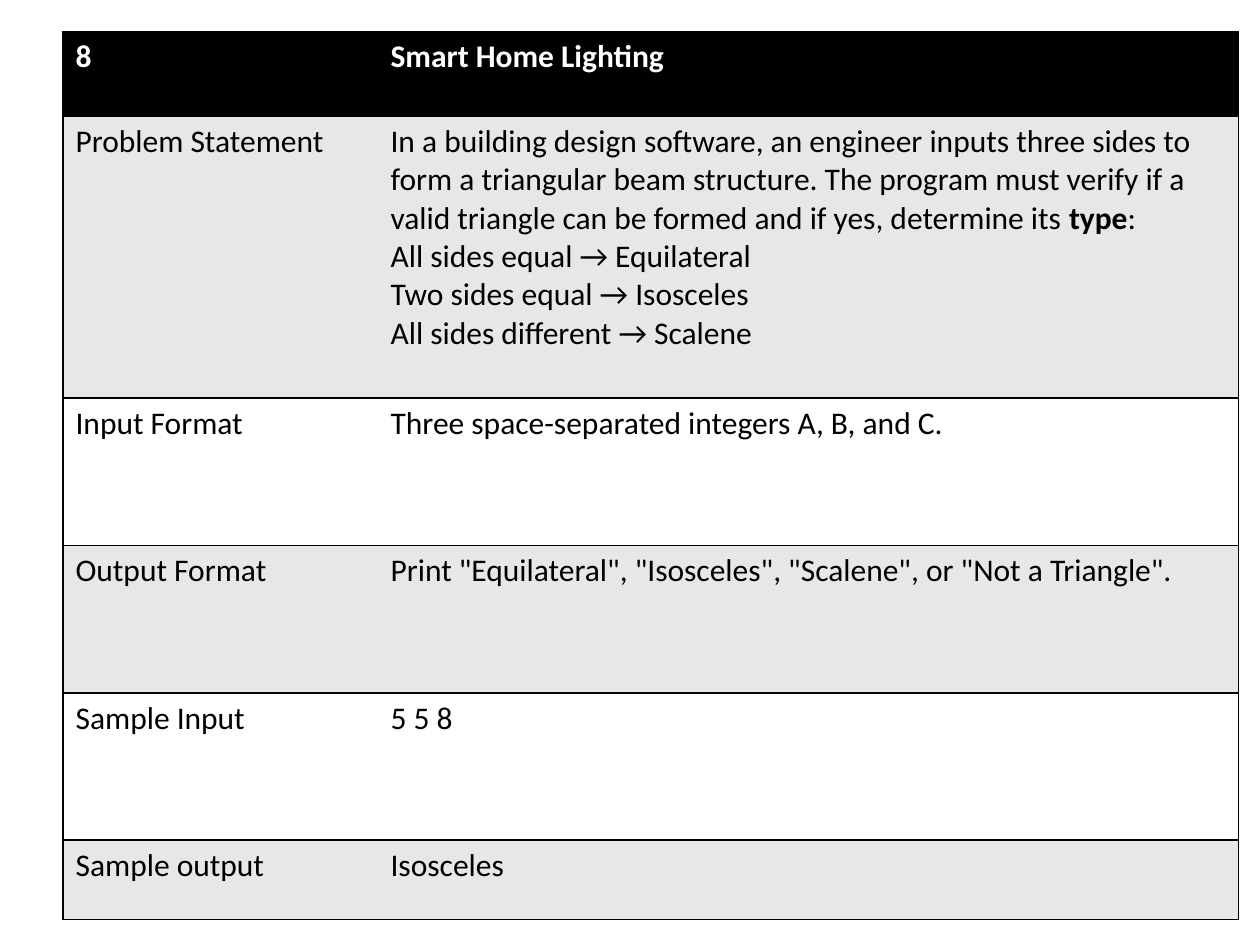
from lxml.etree import SubElement
from pptx import Presentation
from pptx.dml.color import RGBColor
from pptx.oxml.ns import qn
from pptx.util import Inches, Pt

COLORS = {"black": "000000", "white": "FFFFFF", "band": "E7E7E7"}
FONT = "Calibri"
FONT_SIZE = 18
COLUMN_WIDTHS = [2.5, 6.83]
ROW_HEIGHTS = [0.67, 2.24, 1.17, 1.17, 1.17, 0.63]

# Each detail is a list of paragraphs; each paragraph is a list of (text, bold) runs
STATEMENT = [
    [
        ("In a building design software, an engineer inputs three sides to form a "
         "triangular beam structure. The program must verify if a valid triangle "
         "can be formed and if yes, determine its ", False),
        ("type", True),
        (":", False),
    ],
    [("All sides equal → Equilateral", False)],
    [("Two sides equal → Isosceles", False)],
    [("All sides different → Scalene", False)],
]
ROWS = [
    ("8", [[("Smart Home Lighting", True)]]),
    ("Problem Statement", STATEMENT),
    ("Input Format", [[("Three space-separated integers A, B, and C.", False)]]),
    ("Output Format",
     [[('Print "Equilateral", "Isosceles", "Scalene", or "Not a Triangle".', False)]]),
    ("Sample Input", [[("5 5 8", False)]]),
    ("Sample output", [[("Isosceles", False)]]),
]


def set_borders(cell, visible_sides):
    """Draw a thin black line on the visible sides and none on the others."""
    properties = cell._tc.get_or_add_tcPr()
    for side in "LRTB":
        line = SubElement(properties, qn(f"a:ln{side}"), w=str(Pt(1)))
        if side in visible_sides:
            fill = SubElement(line, qn("a:solidFill"))
            SubElement(fill, qn("a:srgbClr"), val=COLORS["black"])
        else:
            SubElement(line, qn("a:noFill"))


def set_fill(cell, color):
    cell.fill.solid()
    cell.fill.fore_color.rgb = RGBColor.from_string(COLORS[color])


def write_text(cell, paragraphs, color):
    text_frame = cell.text_frame
    for index, runs in enumerate(paragraphs):
        paragraph = text_frame.add_paragraph() if index else text_frame.paragraphs[0]
        for text, bold in runs:
            run = paragraph.add_run()
            run.text = text
            run.font.name = FONT
            run.font.size = Pt(FONT_SIZE)
            run.font.bold = bold
            run.font.color.rgb = RGBColor.from_string(COLORS[color])


def add_problem_table(slide):
    shape = slide.shapes.add_table(
        len(ROWS), len(COLUMN_WIDTHS), Inches(0.5), Inches(0.25),
        Inches(sum(COLUMN_WIDTHS)), Inches(sum(ROW_HEIGHTS)))
    table = shape.table
    table.horz_banding = False
    for column, width in zip(table.columns, COLUMN_WIDTHS):
        column.width = Inches(width)
    for row, height in zip(table.rows, ROW_HEIGHTS):
        row.height = Inches(height)

    for row_index, (label, detail) in enumerate(ROWS):
        is_header = row_index == 0
        # Header is black, then grey and white rows alternate
        fill = "black" if is_header else ("band" if row_index % 2 else "white")
        contents = ([[(label, is_header)]], detail)
        for column_index, paragraphs in enumerate(contents):
            cell = table.cell(row_index, column_index)
            set_borders(cell, "RTB" if column_index else "LTB")
            set_fill(cell, fill)
            write_text(cell, paragraphs, "white" if is_header else "black")


def main():
    presentation = Presentation()
    presentation.slide_width = Inches(10)
    presentation.slide_height = Inches(7.5)
    slide = presentation.slides.add_slide(presentation.slide_layouts[6])
    add_problem_table(slide)
    presentation.save("out.pptx")


if __name__ == "__main__":
    main()
